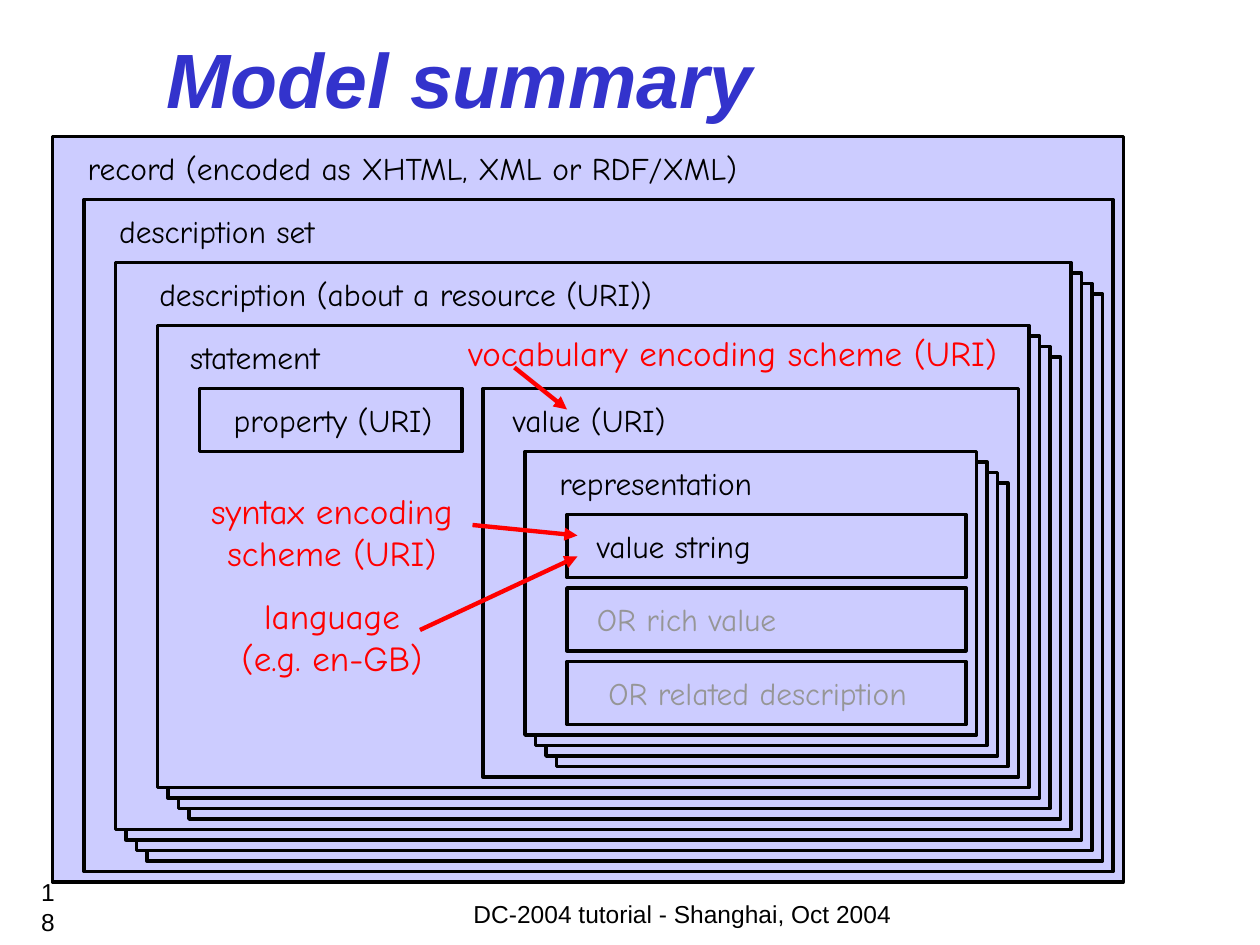
from lxml import etree
from pptx import Presentation
from pptx.dml.color import RGBColor
from pptx.enum.shapes import MSO_CONNECTOR, MSO_SHAPE
from pptx.enum.text import MSO_ANCHOR, MSO_AUTO_SIZE, PP_ALIGN
from pptx.oxml.ns import qn
from pptx.util import Pt

RECTANGLE, STRAIGHT = MSO_SHAPE.RECTANGLE, MSO_CONNECTOR.STRAIGHT
TOP, MIDDLE = MSO_ANCHOR.TOP, MSO_ANCHOR.MIDDLE
LEFT, CENTER, RIGHT = PP_ALIGN.LEFT, PP_ALIGN.CENTER, PP_ALIGN.RIGHT
NO_FIT, GROW = MSO_AUTO_SIZE.NONE, MSO_AUTO_SIZE.SHAPE_TO_FIT_TEXT

BLACK, GREY, RED = "000000", "969696", "FF0000"
LAVENDER, TITLE_BLUE = "CCCCFF", "3333CC"
HEADING_FONT, LABEL_FONT = "Arial", "Comic Neue"
STACK_STEP = 6
LABEL_DROP = 6
LABEL_HEIGHT = 26.6

TITLE = "Model summary"
# label, colour, box (left, top, width, height), label indent, label width, stacked copies
LEVELS = [
    ("record (encoded as XHTML, XML or RDF/XML)", BLACK, (30, 78, 612, 426), 13, 388, 1),
    ("description set", BLACK, (48, 114, 588, 384), 13, 127, 1),
    ("description (about a resource (URI))", BLACK, (66, 150, 546, 324), 18, 297, 4),
    ("statement", BLACK, (90, 186, 498, 264), 11.5, 90, 4),
    ("property (URI)", BLACK, (114, 222, 150, 36), 12.5, 128, 1),
    ("value (URI)", BLACK, (276, 222, 306, 222), 10, 102, 1),
    ("representation", BLACK, (300, 258, 258, 162), 12.5, 126, 4),
]
OPTIONS = [
    ("value string", BLACK, 10, 103),
    ("OR rich value", GREY, 10, 117),
    ("OR related description", GREY, 16.5, 186.5),
]
OPTION_LEFT, OPTION_TOP, OPTION_WIDTH, OPTION_HEIGHT, OPTION_PITCH = 324, 294, 228, 36, 42
# lines, alignment, text frame, arrow start, arrow end
ANNOTATIONS = [
    (["vocabulary encoding scheme (URI)"], LEFT, (260.5, 186, 317, 31.5), (294, 210), (324, 234)),
    (["syntax encoding", "scheme (URI)"], CENTER, (113, 276, 153.5, 55.5), (270, 300), (330, 306)),
    (["language", "(e.g. en-GB)"], CENTER, (131, 336, 117.5, 55.5), (240, 360), (330, 318)),
]
FOOTERS = [
    ("DC-2004 tutorial - Shanghai, Oct 2004", CENTER, (246, 516, 288, 12)),
    ("18", RIGHT, (16.5, 506, 18, 24)),
]


def rgb(value):
    return RGBColor.from_string(value)


def points(values):
    return [Pt(value) for value in values]


def write(frame, lines, size, color, font, align=LEFT, anchor=TOP, wrap=False, fit=GROW):
    frame.word_wrap = wrap
    frame.auto_size = fit
    frame.vertical_anchor = anchor
    paragraph = frame.paragraphs[0]
    paragraph.alignment = align
    for index, line in enumerate(lines):
        if index:
            paragraph.add_line_break()
        run = paragraph.add_run()
        run.text = line
        run.font.size = Pt(size)
        run.font.name = font
        run.font.color.rgb = rgb(color)
    return paragraph


def add_box(slide, area):
    box = slide.shapes.add_shape(RECTANGLE, *points(area))
    box.shadow.inherit = False
    box.fill.solid()
    box.fill.fore_color.rgb = rgb(LAVENDER)
    box.line.color.rgb = rgb(BLACK)
    box.line.width = Pt(2)


def add_level(slide, label, color, area, indent, label_width, copies):
    left, top, width, height = area
    for depth in reversed(range(copies)):
        shift = depth * STACK_STEP
        add_box(slide, (left + shift, top + shift, width, height))
    label_area = (left + indent, top + LABEL_DROP, label_width, LABEL_HEIGHT)
    caption = slide.shapes.add_textbox(*points(label_area))
    write(caption.text_frame, [label], 18, color, LABEL_FONT).line_spacing = 0.9


def add_arrow(slide, start, end):
    arrow = slide.shapes.add_connector(STRAIGHT, *points(start + end))
    arrow.line.color.rgb = rgb(RED)
    arrow.line.width = Pt(2.5)
    etree.SubElement(arrow.line._get_or_add_ln(), qn("a:tailEnd"), type="triangle")
    etree.SubElement(arrow._element.spPr, qn("a:effectLst"))


def main():
    deck = Presentation()
    deck.slide_width, deck.slide_height = Pt(720), Pt(540)
    slide = deck.slides.add_slide(deck.slide_layouts[5])

    title = slide.shapes.title
    title.left, title.top, title.width, title.height = points((88, 14.5, 559.5, 60))
    heading = write(title.text_frame, [TITLE], 44, TITLE_BLUE, HEADING_FONT,
                    anchor=MIDDLE, wrap=True, fit=NO_FIT)
    heading.runs[0].font.bold = True
    heading.runs[0].font.italic = True

    for level in LEVELS:
        add_level(slide, *level)
    for row, (label, color, indent, label_width) in enumerate(OPTIONS):
        area = (OPTION_LEFT, OPTION_TOP + row * OPTION_PITCH, OPTION_WIDTH, OPTION_HEIGHT)
        add_level(slide, label, color, area, indent, label_width, 1)

    for lines, align, area, start, end in ANNOTATIONS:
        note = slide.shapes.add_textbox(*points(area))
        write(note.text_frame, lines, 20, RED, LABEL_FONT, align)
        add_arrow(slide, start, end)

    for words, align, area in FOOTERS:
        footer = slide.shapes.add_textbox(*points(area))
        write(footer.text_frame, [words], 14, BLACK, HEADING_FONT, align, MIDDLE, True, NO_FIT)

    deck.save("out.pptx")


if __name__ == "__main__":
    main()
